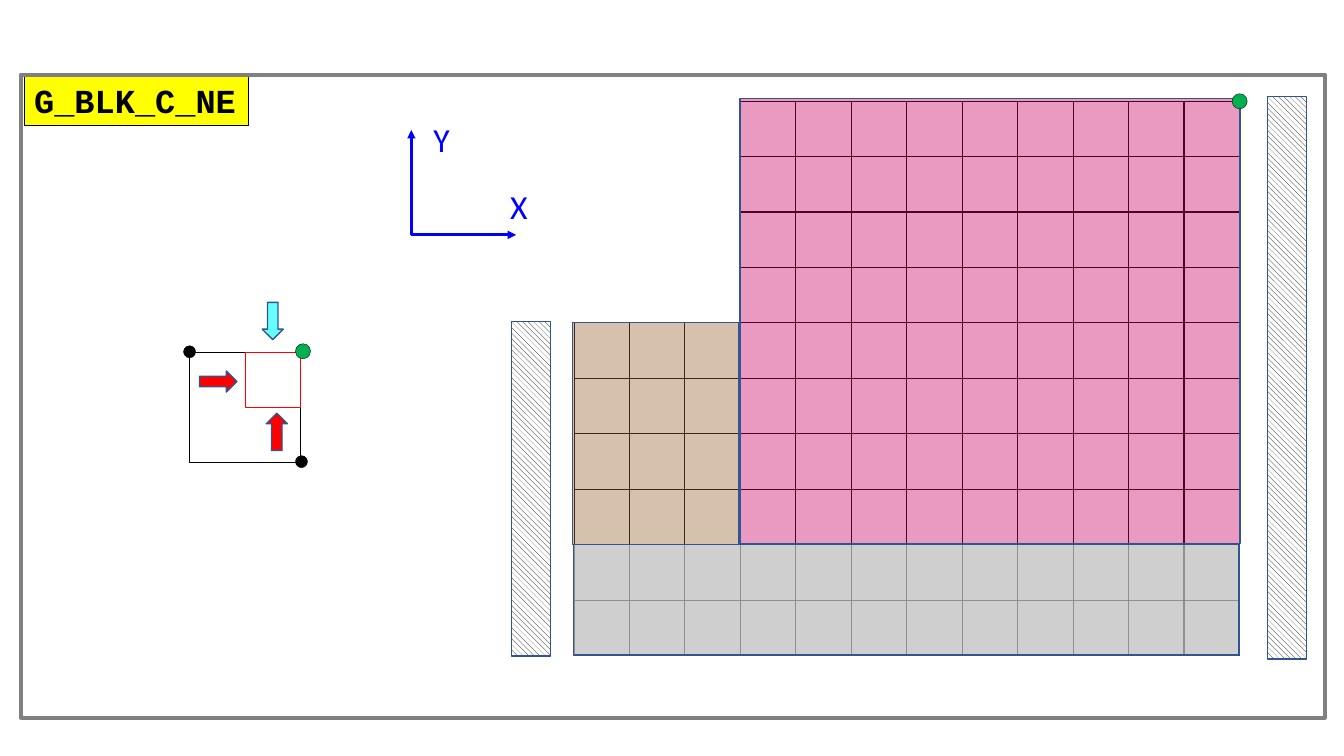
from itertools import product

from lxml.etree import SubElement
from pptx import Presentation
from pptx.dml.color import RGBColor
from pptx.enum.dml import MSO_PATTERN
from pptx.enum.shapes import MSO_CONNECTOR, MSO_SHAPE
from pptx.enum.text import MSO_ANCHOR, MSO_AUTO_SIZE, PP_ALIGN
from pptx.oxml.ns import qn
from pptx.util import Inches, Pt

THEME = {
    "black": "000000", "white": "FFFFFF", "edge": "325491", "red": "FF0000",
    "green": "00B050", "cyan": "66FFFF", "yellow": "FFFF00", "axis": "0000FF",
    "frame": "808080", "gray": "BFBFBF", "brown": "996633", "pink": "CC0066",
    "text_size": 24, "label_font": "Courier New", "axis_font": "Calibri",
    "thin": 0.25, "medium": 1, "axis_width": 2, "thick": 3,
}

CELL = 0.55
GRID_LEFT, GRID_TOP = 5.69, 1.0
# first column, first row, columns, rows
CELL_AREAS = [(0, 8, 12, 2), (0, 4, 3, 4), (3, 0, 9, 8)]
# left, top, width, height, colour, opacity in percent
REGIONS = [
    (5.69, 5.4, 6.6, 1.1, "gray", 75),
    (5.68, 3.2, 1.65, 2.2, "brown", 40),
    (7.34, 0.98, 4.96, 4.41, "pink", 40),
]
BLOCK = (1.88, 3.49, 1.1, 1.1)
CORNER_CELL = (2.43, 3.49, CELL, CELL)
# left, top, diameter, colour
GRID_DOT = (12.22, 0.93, 0.15, "green")
BLOCK_DOTS = [(1.82, 3.43, 0.12, "black"), (2.93, 4.52, 0.12, "black")]
CORNER_DOT = (2.93, 3.41, 0.15, "green")
# left, top, rotation, colour
ARROW_SIZE = (0.21, 0.37)
ARROWS = [(2.6, 3.0, 180, "cyan"), (2.64, 4.1, 0, "red"), (2.06, 3.6, 90, "red")]
WALLS = [(5.07, 3.19, 0.39, 3.32), (12.57, 0.96, 0.39, 5.58)]
AXIS_ORIGIN = (4.08, 2.33)
# end point, label, label position
AXES = [((5.12, 2.33), "X", (4.96, 1.8)), ((4.08, 1.29), "Y", (4.2, 1.13))]
AXIS_LABEL_SIZE = (0.38, 0.5)
TITLE = ("G_BLK_C_NE", (0.24, 0.74, 2.22, 0.5))
FRAME = (0.21, 0.74, 12.93, 6.38)


def color(name):
    return RGBColor.from_string(THEME[name])


def add_shape(slide, kind, box, fill=None, opacity=100, line="black", width="thin"):
    shape = slide.shapes.add_shape(kind, *map(Inches, box))
    shape.shadow.inherit = False
    if fill:
        shape.fill.solid()
        shape.fill.fore_color.rgb = color(fill)
    else:
        shape.fill.background()
    if opacity < 100:
        solid = shape._element.spPr.find(qn("a:solidFill"))
        SubElement(solid[0], qn("a:alpha")).set("val", str(opacity * 1000))
    shape.line.color.rgb = color(line)
    shape.line.width = Pt(THEME[width])
    return shape


def add_dot(slide, left, top, diameter, fill):
    add_shape(slide, MSO_SHAPE.OVAL, (left, top, diameter, diameter), fill)


def write_text(shape, text, font, ink, bold=False):
    frame = shape.text_frame
    frame.word_wrap = False
    frame.auto_size = MSO_AUTO_SIZE.SHAPE_TO_FIT_TEXT
    frame.vertical_anchor = MSO_ANCHOR.TOP
    paragraph = frame.paragraphs[0]
    paragraph.alignment = PP_ALIGN.LEFT
    run = paragraph.add_run()
    run.text = text
    run.font.name = THEME[font]
    run.font.size = Pt(THEME["text_size"])
    run.font.bold = bold
    run.font.color.rgb = color(ink)


def add_wall(slide, box):
    wall = add_shape(slide, MSO_SHAPE.RECTANGLE, box, line="edge", width="medium")
    wall.fill.patterned()
    wall.fill.pattern = MSO_PATTERN.WIDE_DOWNWARD_DIAGONAL
    wall.fill.fore_color.rgb = color("black")
    wall.fill.back_color.rgb = color("white")


def add_axis(slide, end):
    axis = slide.shapes.add_connector(
        MSO_CONNECTOR.STRAIGHT, *map(Inches, AXIS_ORIGIN + end))
    axis.line.color.rgb = color("axis")
    axis.line.width = Pt(THEME["axis_width"])
    SubElement(axis.line._get_or_add_ln(), qn("a:tailEnd")).set("type", "triangle")
    SubElement(axis._element.spPr, qn("a:effectLst"))


def main():
    presentation = Presentation()
    presentation.slide_width, presentation.slide_height = Inches(13.33), Inches(7.5)
    slide = presentation.slides.add_slide(presentation.slide_layouts[6])
    rectangle = MSO_SHAPE.RECTANGLE

    add_shape(slide, rectangle, BLOCK)
    for first_column, first_row, columns, rows in CELL_AREAS:
        for row, column in product(range(rows), range(columns)):
            left = GRID_LEFT + (first_column + column) * CELL
            top = GRID_TOP + (first_row + row) * CELL
            add_shape(slide, rectangle, (left, top, CELL, CELL))
    for *box, fill, opacity in REGIONS:
        add_shape(slide, rectangle, box, fill, opacity, "edge", "medium")

    add_dot(slide, *GRID_DOT)
    add_shape(slide, rectangle, CORNER_CELL, line="red")
    for dot in BLOCK_DOTS:
        add_dot(slide, *dot)
    for left, top, rotation, fill in ARROWS:
        arrow = add_shape(slide, MSO_SHAPE.UP_ARROW, (left, top, *ARROW_SIZE), fill,
                          line="edge", width="medium")
        arrow.rotation = rotation
    for box in WALLS:
        add_wall(slide, box)

    for end, label, position in AXES:
        add_axis(slide, end)
        label_box = slide.shapes.add_textbox(*map(Inches, position + AXIS_LABEL_SIZE))
        write_text(label_box, label, "axis_font", "axis")

    add_dot(slide, *CORNER_DOT)
    title, box = TITLE
    title_box = add_shape(slide, rectangle, box, "yellow")
    write_text(title_box, title, "label_font", "black", bold=True)
    add_shape(slide, rectangle, FRAME, line="frame", width="thick")

    presentation.save("out.pptx")


if __name__ == "__main__":
    main()
